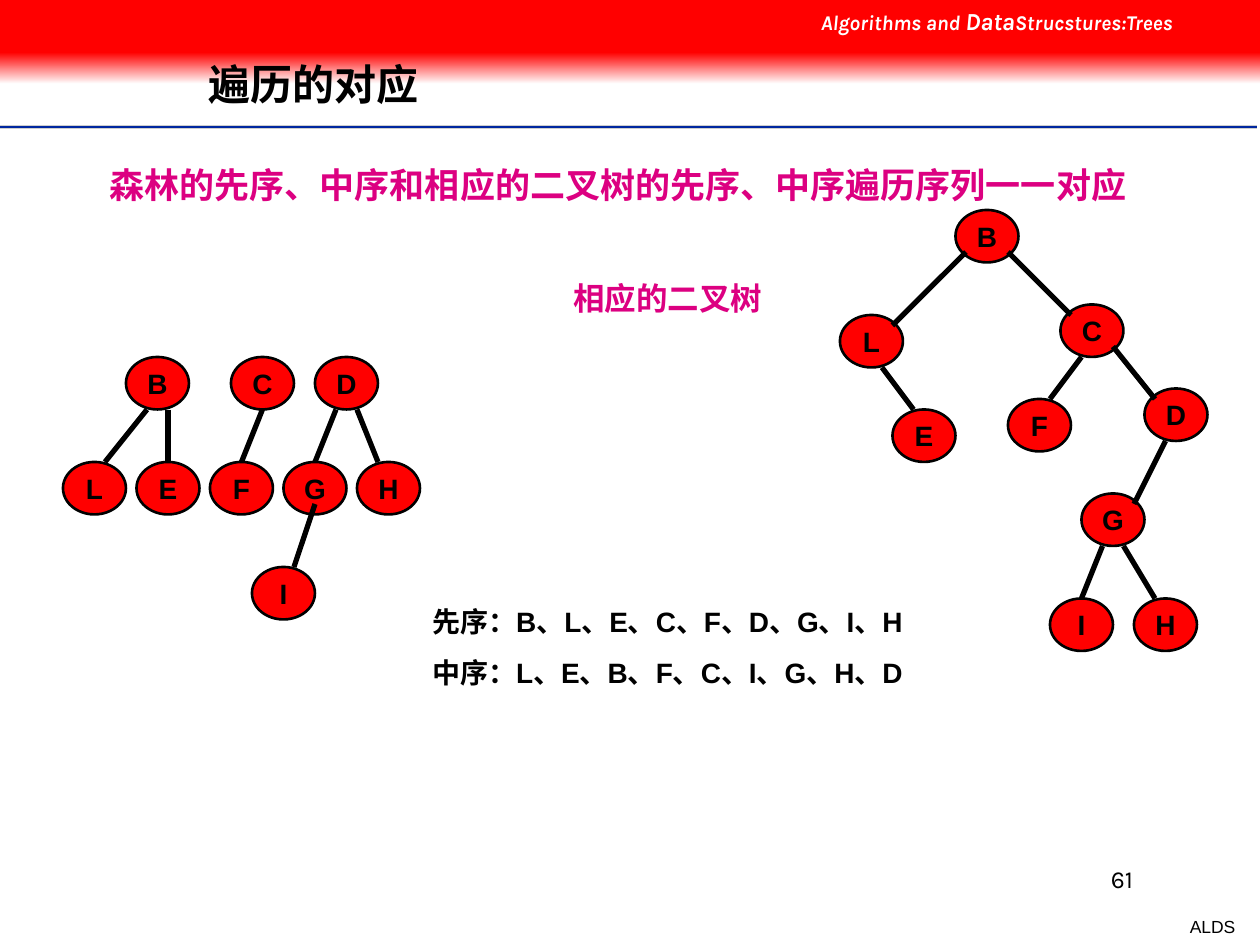
from lxml.etree import SubElement
from pptx import Presentation
from pptx.dml.color import RGBColor
from pptx.enum.lang import MSO_LANGUAGE_ID
from pptx.enum.shapes import MSO_CONNECTOR, MSO_SHAPE
from pptx.enum.text import MSO_ANCHOR, MSO_AUTO_SIZE, PP_ALIGN
from pptx.oxml.ns import qn
from pptx.util import Pt

BLACK, WHITE, RED, PINK = "000000", "FFFFFF", "FF0000", "DC0081"
NODE_W, NODE_H = 36, 30

# Left and top of each node, then the ends of each branch
BINARY_NODES = {
    "B": (546, 120), "C": (606, 174), "D": (654, 222),
    "E": (510, 234), "F": (576, 228), "G": (618, 282),
    "H": (648, 342), "I": (600, 342), "L": (480, 180),
}
BINARY_BRANCHES = [
    (552, 144, 510, 186), (576, 144, 612, 180), (636, 198, 660, 228),
    (618, 204, 600, 228), (504, 210, 522, 234), (666, 252, 648, 288),
    (630, 312, 618, 342), (642, 312, 660, 342),
]
FOREST_NODES = {
    "B": (72, 204), "C": (132, 204), "D": (180, 204),
    "E": (78, 264), "F": (120, 264), "G": (162, 264),
    "H": (204, 264), "I": (144, 324), "L": (36, 264),
}
FOREST_BRANCHES = [
    (84, 234, 60, 264), (96, 234, 96, 264), (150, 234, 138, 264),
    (192, 234, 180, 264), (204, 234, 216, 264), (180, 288, 168, 324),
]


def rgb(color):
    return RGBColor.from_string(color)


def set_attrs(obj, **values):
    for name, value in values.items():
        setattr(obj, name, value)


def add_run(p, text, size, color=BLACK, font="Arial", bold=True, italic=None):
    r = p.add_run()
    r.text = text
    set_attrs(r.font, name=font, size=Pt(size), bold=bold, italic=italic,
              language_id=MSO_LANGUAGE_ID.SIMPLIFIED_CHINESE)
    r.font.color.rgb = rgb(color)


def add_text(s, box, paragraphs, wrap=True, indent=0, **p_format):
    """Each paragraph is a list of dicts, one for each run."""
    tf = s.shapes.add_textbox(*map(Pt, box)).text_frame
    tf.word_wrap = wrap
    if not wrap:
        tf.auto_size = MSO_AUTO_SIZE.SHAPE_TO_FIT_TEXT
    for i, runs in enumerate(paragraphs):
        p = tf.add_paragraph() if i else tf.paragraphs[0]
        set_attrs(p, **p_format)
        if indent:
            p._p.get_or_add_pPr().set("marL", str(Pt(indent)))
        for run in runs:
            add_run(p, **run)


def add_line(s, ends, color, width):
    line = s.shapes.add_connector(MSO_CONNECTOR.STRAIGHT, *map(Pt, ends))
    line.line.color.rgb = rgb(color)
    line.line.width = Pt(width)
    SubElement(line._element.spPr, qn("a:effectLst"))


def add_band(s, top, height, fade_to=None):
    sp = s.shapes.add_shape(MSO_SHAPE.RECTANGLE, 0, Pt(top), Pt(720), Pt(height))
    sp.shadow.inherit = False
    sp.line.fill.background()
    if fade_to:
        sp.fill.gradient()
        sp.fill.gradient_angle = 270
        for stop, color in zip(sp.fill.gradient_stops, (RED, fade_to)):
            stop.color.rgb = rgb(color)
    else:
        sp.fill.solid()
        sp.fill.fore_color.rgb = rgb(RED)


def add_node(s, label, left, top):
    sp = s.shapes.add_shape(MSO_SHAPE.OVAL, *map(Pt, (left, top, NODE_W, NODE_H)))
    sp.shadow.inherit = False
    sp.fill.solid()
    sp.fill.fore_color.rgb = rgb(RED)
    sp.line.color.rgb = rgb(BLACK)
    sp.line.width = Pt(1.5)
    tf = sp.text_frame
    set_attrs(tf, word_wrap=False, vertical_anchor=MSO_ANCHOR.MIDDLE)
    tf.paragraphs[0].alignment = PP_ALIGN.CENTER
    add_run(tf.paragraphs[0], label, 16)


def add_tree(s, nodes, branches):
    for label, (left, top) in nodes.items():
        add_node(s, label, left, top)
    for ends in branches:
        add_line(s, ends, BLACK, 3)


def add_frame(s):
    """Header band, rule under the title, and footer."""
    for y, color, width in [(72.5, "CECECE", 2), (72.5, "00279F", 1), (74, WHITE, 1)]:
        add_line(s, (0, y, 718.5, y), color, width)
    add_text(s, (670.5, 520, 42.5, 19.5), [[dict(text="ALDS", size=10, bold=False)]],
             wrap=False, alignment=PP_ALIGN.RIGHT, space_before=Pt(6.2))
    add_text(s, (516, 490, 138.5, 36),
             [[dict(text="61", size=14, font="Karla", bold=False)]],
             alignment=PP_ALIGN.RIGHT)
    add_band(s, 30, 18, fade_to=WHITE)
    add_band(s, 0, 30)
    course = [("Algorithms and ", 12), ("Data", 14), ("Strucstures:Trees", 12)]
    add_text(s, (462, 0, 258, 24.5),
             [[dict(text=text, size=size, color=WHITE, font="Karla", italic=True)
               for text, size in course]], space_before=Pt(7.5))


def set_title(s, text):
    """Fill the title and bring it in front of the header band."""
    title = s.shapes.title
    s.shapes._spTree.append(title._element)
    set_attrs(title, left=Pt(112), top=Pt(23), width=Pt(544), height=Pt(53))
    tf = title.text_frame
    set_attrs(tf, vertical_anchor=MSO_ANCHOR.MIDDLE, auto_size=MSO_AUTO_SIZE.NONE)
    p = tf.paragraphs[0]
    set_attrs(p, alignment=PP_ALIGN.LEFT, line_spacing=0.9)
    add_run(p, text, 24)


def main():
    prs = Presentation()
    set_attrs(prs, slide_width=Pt(720), slide_height=Pt(540))
    s = prs.slides.add_slide(prs.slide_layouts[5])
    add_frame(s)
    set_title(s, "遍历的对应")
    add_text(s, (19.5, 90, 631.5, 31.5),
             [[dict(text="森林的先序、中序和相应的二叉树的先序、中序遍历序列一一对应",
                    size=20, color=PINK)]],
             wrap=False, indent=36, space_before=Pt(12.5))
    add_tree(s, BINARY_NODES, BINARY_BRANCHES)
    add_tree(s, FOREST_NODES, FOREST_BRANCHES)
    add_text(s, (234, 156, 252, 29),
             [[dict(text="相应的二叉树", size=18, color=PINK)]],
             indent=86.5, space_before=Pt(11.2))
    orders = ["先序：B、L、E、C、F、D、G、I、H", "中序：L、E、B、F、C、I、G、H、D"]
    add_text(s, (240, 342, 294, 94.5),
             [[dict(text=order, size=16)] for order in orders], space_before=Pt(10))
    prs.save("out.pptx")


if __name__ == "__main__":
    main()
